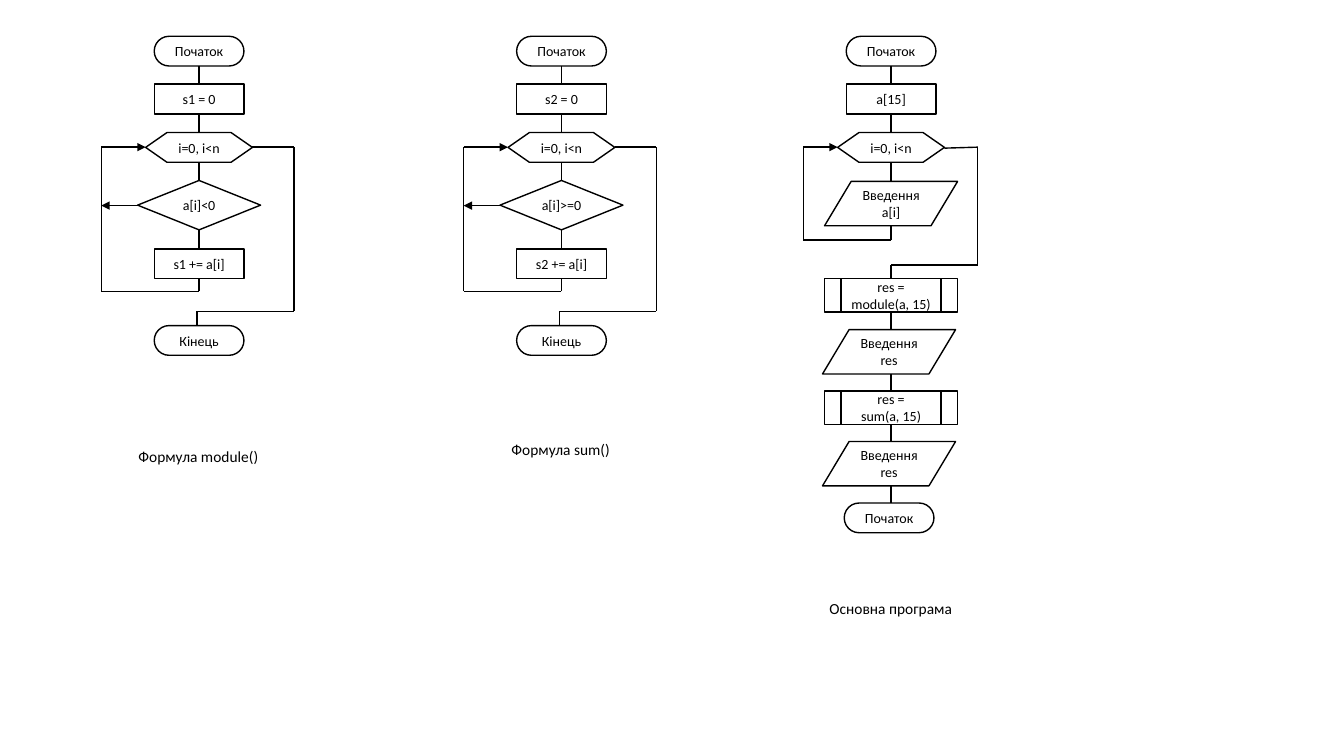
"""Draw three flowcharts: two helper functions and the main program."""
from dataclasses import dataclass
from itertools import pairwise

from lxml import etree
from pptx import Presentation
from pptx.dml.color import RGBColor
from pptx.enum.shapes import MSO_CONNECTOR, MSO_SHAPE
from pptx.enum.text import MSO_ANCHOR, MSO_AUTO_SIZE, PP_ALIGN
from pptx.oxml.ns import qn
from pptx.slide import Slide
from pptx.text.text import TextFrame
from pptx.util import Inches, Pt

LINE = MSO_CONNECTOR.STRAIGHT
ROUND = MSO_SHAPE.ROUNDED_RECTANGLE
STEP = MSO_SHAPE.RECTANGLE
LOOP = MSO_SHAPE.FLOWCHART_PREPARATION
TEST = MSO_SHAPE.DIAMOND
DATA = MSO_SHAPE.FLOWCHART_DATA
CALL = MSO_SHAPE.FLOWCHART_PREDEFINED_PROCESS
MIDDLE = MSO_ANCHOR.MIDDLE
CENTER = PP_ALIGN.CENTER
LEFT = PP_ALIGN.LEFT
FIT = MSO_AUTO_SIZE.SHAPE_TO_FIT_TEXT

COLS, ROWS = 133.33, 75
CELL = 0.1
INK, PAPER = "000000", "FFFFFF"
SIZES = {
    ROUND: (8.9, 2.95),
    STEP: (8.9, 2.95),
    LOOP: (10.6, 2.95),
    TEST: (12.2, 4.9),
    DATA: (13.2, 4.4),
    CALL: (13.2, 3.3),
}
BODY = {"name": "Calibri", "size": Pt(10)}
TITLE = {"name": "Calibri", "size": Pt(11)}


@dataclass
class Node:
    kind: int
    text: str
    top: float
    shift: float = 0
    joined: bool = True


@dataclass
class Route:
    points: list[tuple[float, float]]
    arrow: bool = False


@dataclass
class Label:
    text: str
    top: float
    width: float


@dataclass
class Flow:
    axis: float
    nodes: list[Node]
    routes: list[Route]
    label: Label


def grid(cells: float) -> int:
    return Inches(cells * CELL)


def color(code: str) -> RGBColor:
    return RGBColor.from_string(code)


def write(frame: TextFrame, text: str, look: dict, align: int) -> None:
    frame.text = text
    for para in frame.paragraphs:
        para.alignment = align
        for key, value in look.items():
            setattr(para.font, key, value)
        para.font.color.rgb = color(INK)


def draw_node(slide: Slide, node: Node, axis: float) -> None:
    width, height = SIZES[node.kind]
    left = axis + node.shift - width / 2
    shape = slide.shapes.add_shape(
        node.kind, grid(left), grid(node.top), grid(width), grid(height))
    if node.kind == ROUND:
        shape.adjustments[0] = 0.5
    shape.shadow.inherit = False
    shape.fill.solid()
    shape.fill.fore_color.rgb = color(PAPER)
    shape.line.color.rgb = color(INK)
    shape.line.width = Pt(1)
    shape.text_frame.vertical_anchor = MIDDLE
    write(shape.text_frame, node.text, BODY, CENTER)


def draw_route(slide: Slide, route: Route, axis: float) -> None:
    for (x1, y1), (x2, y2) in pairwise(route.points):
        link = slide.shapes.add_connector(
            LINE, grid(axis + x1), grid(y1), grid(axis + x2), grid(y2))
        link.line.color.rgb = color(INK)
        link.line.width = Pt(1)
        props = link._element.spPr
        etree.SubElement(props, qn("a:effectLst"))
    if route.arrow:
        etree.SubElement(props.find(qn("a:ln")), qn("a:tailEnd"), type="triangle")


def draw_label(slide: Slide, label: Label, axis: float) -> None:
    box = slide.shapes.add_textbox(
        grid(axis - label.width / 2), grid(label.top), grid(label.width), grid(2.9))
    box.text_frame.word_wrap = False
    box.text_frame.auto_size = FIT
    write(box.text_frame, label.text, TITLE, LEFT)


def draw_flow(slide: Slide, flow: Flow) -> None:
    for node in flow.nodes:
        draw_node(slide, node, flow.axis)
    for above, below in pairwise(flow.nodes):
        if below.joined:
            foot = above.top + SIZES[above.kind][1]
            draw_route(slide, Route([(0, foot), (0, below.top)]), flow.axis)
    for route in flow.routes:
        draw_route(slide, route, flow.axis)
    draw_label(slide, flow.label, flow.axis)


def opening(step: str) -> list[Node]:
    return [Node(ROUND, "Початок", 3.6), Node(STEP, step, 8.35),
            Node(LOOP, "i=0, i<n", 13.15)]


def sum_flow(axis: float, total: str, test: str, label: Label) -> Flow:
    nodes = opening(f"{total} = 0") + [
        Node(TEST, test, 17.9),
        Node(STEP, f"{total} += a[i]", 24.7),
        Node(ROUND, "Кінець", 32.3, joined=False),
    ]
    routes = [
        Route([(0, 27.6), (0, 28.9), (-9.7, 28.9), (-9.7, 14.6), (-5.3, 14.6)], True),
        Route([(-6.1, 20.4), (-9.7, 20.4)], True),
        Route([(5.3, 14.6), (9.4, 14.6), (9.4, 30.9), (-0.2, 30.9), (-0.2, 32.3)]),
    ]
    return Flow(axis, nodes, routes, label)


def main_flow(axis: float, label: Label) -> Flow:
    nodes = opening("a[15]") + [
        Node(DATA, "Введення a[i]", 18),
        Node(CALL, "res = module(a, 15)", 27.65, joined=False),
        Node(DATA, "Введення res", 32.7, -0.2),
        Node(CALL, "res =\nsum(a, 15)", 38.8),
        Node(DATA, "Введення res", 43.8, -0.2),
        Node(ROUND, "Початок", 49.9, -0.2),
    ]
    routes = [
        Route([(0, 22.4), (0, 23.8), (-8.7, 23.8), (-8.7, 14.6), (-5.3, 14.6)], True),
        Route([(5.3, 14.7), (8.6, 14.6), (8.6, 26.3), (0, 26.3), (0, 27.6)]),
    ]
    return Flow(axis, nodes, routes, label)


def main() -> None:
    deck = Presentation()
    deck.slide_width, deck.slide_height = grid(COLS), grid(ROWS)
    slide = deck.slides.add_slide(deck.slide_layouts[6])
    flows = [
        sum_flow(19.75, "s1", "a[i]<0", Label("Формула module()", 43.9, 14)),
        sum_flow(55.7, "s2", "a[i]>=0", Label("Формула sum()", 43.2, 11.9)),
        main_flow(88.4, Label("Основна програма", 58.9, 14.2)),
    ]
    for flow in flows:
        draw_flow(slide, flow)
    deck.save("out.pptx")


if __name__ == "__main__":
    main()
